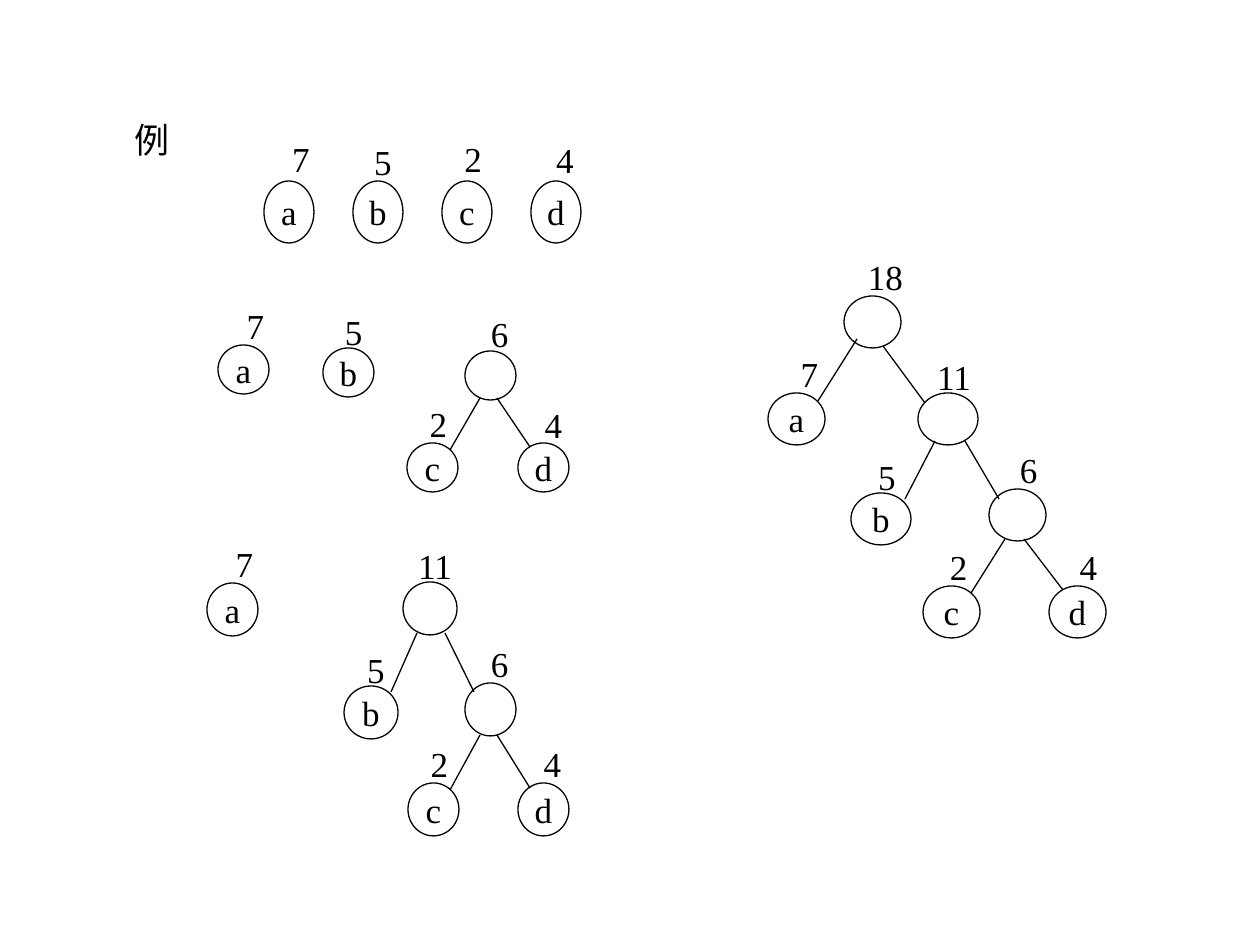
from lxml import etree
from pptx import Presentation
from pptx import util as u
from pptx.dml.color import RGBColor
from pptx.enum import shapes, text
from pptx.oxml.ns import qn

BLACK = RGBColor(0, 0, 0)
FONT = "Times New Roman"
PX_PER_INCH = 126
LABEL_H = 55
LABEL_W = {1: 43, 2: 60}

# Node: letter, weight, left, top, width, label centre offset, label top offset
# Edge: x1, y1, x2, y2. All are relative to the origin of the step.
STEPS = [
    dict(origin=(264, 181), node_h=62, nodes=[
        ("a", "7", 0, 0, 50, 12, -50),
        ("b", "5", 89, 0, 50, 5, -47),
        ("c", "2", 178, 0, 50, 6, -50),
        ("d", "4", 267, 0, 50, 9, -49),
    ], edges=[]),
    dict(origin=(218, 345), node_h=49, nodes=[
        ("a", "7", 0, 0, 51, 12, -47),
        ("b", "5", 105, 3, 51, 5, -44),
        ("c", "2", 189, 98, 51, 6, -47),
        ("d", "4", 300, 98, 51, 10, -46),
        ("", "6", 247, 6, 51, 9, -45),
    ], edges=[(262, 53, 232, 105), (279, 53, 312, 102)]),
    dict(origin=(207, 582), node_h=53, nodes=[
        ("a", "7", 0, 1, 51, 12, -47),
        ("b", "5", 137, 104, 54, 5, -44),
        ("c", "2", 201, 201, 51, 6, -47),
        ("d", "4", 311, 201, 51, 9, -47),
        ("", "6", 258, 101, 51, 9, -47),
        ("", "11", 196, 0, 54, 5, -44),
    ], edges=[(273, 153, 243, 208), (290, 153, 323, 206),
              (210, 51, 184, 110), (238, 51, 267, 110)]),
    dict(origin=(768, 296), node_h=52, nodes=[
        ("a", "7", 0, 97, 57, 13, -47),
        ("b", "5", 83, 197, 60, 6, -44),
        ("c", "2", 155, 290, 57, 7, -47),
        ("d", "4", 281, 290, 57, 11, -47),
        ("", "6", 221, 193, 57, 11, -47),
        ("", "11", 150, 97, 60, 6, -44),
        ("", "18", 76, 0, 57, 13, -47),
    ], edges=[(237, 243, 203, 297), (256, 243, 295, 294),
              (167, 145, 137, 203), (197, 145, 231, 203),
              (89, 43, 50, 105), (115, 50, 157, 107)]),
]


def emu(*px):
    return [u.Emu(round(v * 914400 / PX_PER_INCH)) for v in px]


def write(sp, content):
    """Put one centred run into a shape."""
    tf = sp.text_frame
    tf.word_wrap = False
    tf.vertical_anchor = text.MSO_ANCHOR.MIDDLE
    p = tf.paragraphs[0]
    p.alignment = text.PP_ALIGN.CENTER
    r = p.add_run()
    r.text = content
    r.font.name = FONT
    r.font.size = u.Pt(20)
    r.font.color.rgb = BLACK


def outline(line):
    line.color.rgb = BLACK
    line.width = u.Pt(0.75)


def add_label(parent, content, x, y, w):
    sp = parent.add_textbox(*emu(x, y, w, LABEL_H))
    write(sp, content)
    sp.text_frame.auto_size = text.MSO_AUTO_SIZE.SHAPE_TO_FIT_TEXT


def add_node(parent, letter, x, y, w, h):
    sp = parent.add_shape(shapes.MSO_SHAPE.OVAL, *emu(x, y, w, h))
    sp.shadow.inherit = False
    sp.fill.background()
    outline(sp.line)
    if letter:
        write(sp, letter)


def add_edge(parent, x1, y1, x2, y2):
    line = parent.add_connector(shapes.MSO_CONNECTOR.STRAIGHT, *emu(x1, y1, x2, y2))
    outline(line.line)
    etree.SubElement(line._element.spPr, qn("a:effectLst"))


def add_step(s, origin, node_h, nodes, edges):
    """Place one step of the tree building as a group."""
    left, top = origin
    parent = s.shapes.add_group_shape().shapes
    for letter, weight, x, y, w, dx, dy in nodes:
        add_node(parent, letter, left + x, top + y, w, node_h)
        label_w = LABEL_W[len(weight)]
        label_x = left + x + w / 2 + dx - label_w / 2
        add_label(parent, weight, label_x, top + y + dy, label_w)
    for x1, y1, x2, y2 in edges:
        add_edge(parent, left + x1, top + y1, left + x2, top + y2)


def main():
    prs = Presentation()
    prs.slide_width, prs.slide_height = u.Inches(10), u.Inches(7.5)
    s = prs.slides.add_slide(prs.slide_layouts[6])
    add_label(s.shapes, "例", 122, 112, 60)
    for step in STEPS:
        add_step(s, **step)
    prs.save("out.pptx")


if __name__ == "__main__":
    main()
